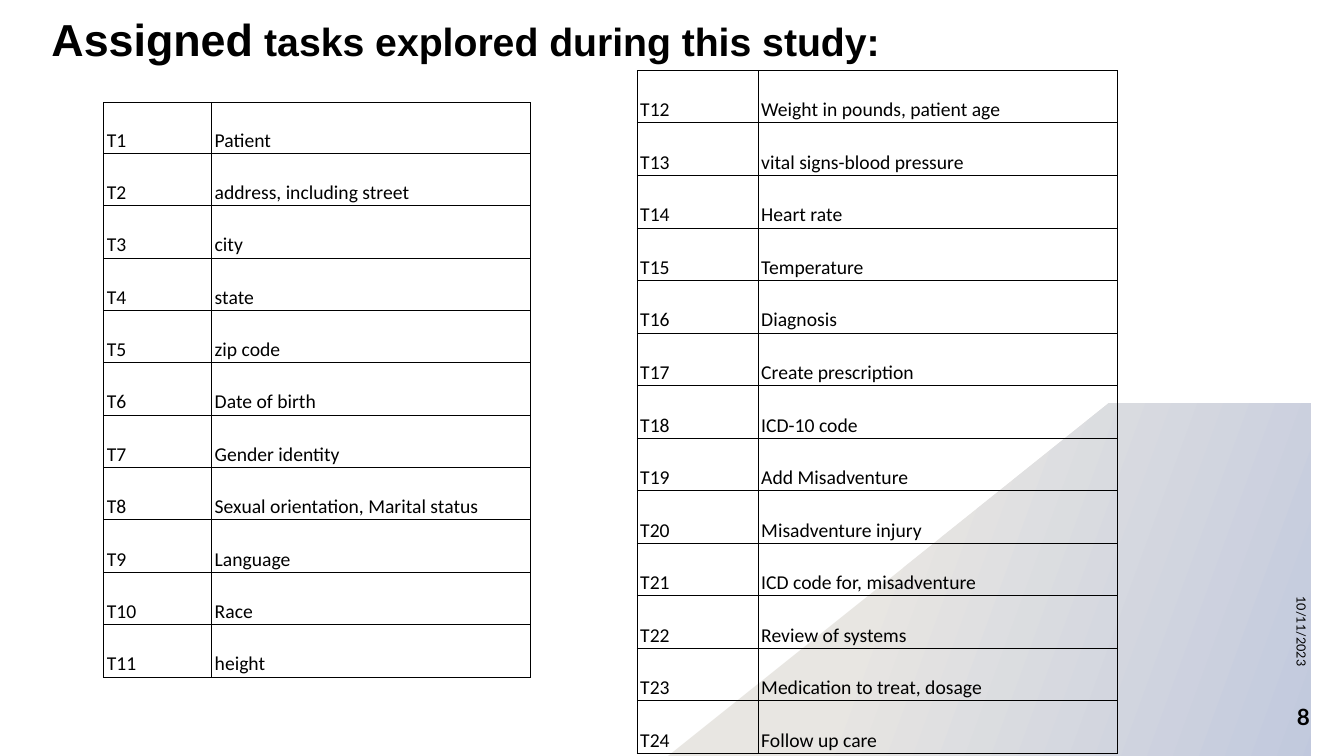
from dataclasses import dataclass

from lxml.etree import SubElement
from pptx import Presentation
from pptx.dml.color import RGBColor
from pptx.enum.text import MSO_ANCHOR as Anchor, PP_ALIGN as Align
from pptx.oxml.ns import qn
from pptx.slide import Slide
from pptx.table import _Cell as Cell
from pptx.util import Inches, Pt


@dataclass(frozen=True)
class Theme:
    ink: str = "000000"
    sand: str = "E8E6E2"
    mist: str = "C0C8DD"
    title_font: str = "Arial"
    table_font: str = "Calibri"
    footer_font: str = "Lato"
    title_lead_size: int = 32
    title_size: int = 28
    table_size: int = 14
    border_width: float = 0.75


@dataclass(frozen=True)
class TaskTable:
    left: float
    top: float
    columns: tuple[float, float]
    first_row: float
    row_height: float
    first_number: int
    tasks: tuple[str, ...]


@dataclass(frozen=True)
class FooterText:
    text: str
    left: float
    top: float
    width: float
    height: float
    size: int
    bold: bool = False
    rotation: int = 0


THEME = Theme()
Point = tuple[float, float]

TABLES = (
    TaskTable(1.03, 1.02, (1.07, 3.16), 0.5, 0.52, 1, (
        "Patient", "address, including street", "city", "state", "zip code",
        "Date of birth", "Gender identity", "Sexual orientation, Marital status",
        "Language", "Race", "height")),
    TaskTable(6.32, 0.7, (1.2, 3.56), 0.52, 0.5215, 12, (
        "Weight in pounds, patient age", "vital signs-blood pressure", "Heart rate",
        "Temperature", "Diagnosis", "Create prescription", "ICD-10 code",
        "Add Misadventure", "Misadventure injury", "ICD code for, misadventure",
        "Review of systems", "Medication to treat, dosage", "Follow up care")),
)

FOOTERS = (
    FooterText("10/11/2023", 11.46, 5.06, 2.9, 0.4, 9, rotation=90),
    FooterText("8", 12.42, 6.91, 0.67, 0.4, 16, bold=True),
)


def style_font(font, name: str, size: int, bold: bool = False) -> None:
    font.name, font.size, font.bold = name, Pt(size), bold
    font.color.rgb = RGBColor.from_string(THEME.ink)


def curve(start: Point, control_1: Point, control_2: Point, end: Point,
          steps: int = 24) -> list[Point]:
    """Points along a cubic Bezier curve, without its start."""
    points = []
    for step in range(1, steps + 1):
        t = step / steps
        weights = ((1 - t) ** 3, 3 * t * (1 - t) ** 2, 3 * t * t * (1 - t), t ** 3)
        corners = (start, control_1, control_2, end)
        points.append((sum(w * c[0] for w, c in zip(weights, corners)),
                       sum(w * c[1] for w, c in zip(weights, corners))))
    return points


def add_hill(slide: Slide) -> None:
    crest = (11.99, 3.7)
    outline = [
        *curve(crest, (12.47, 3.7), (12.94, 3.86), (13.33, 4.17)),
        (13.33, 7.5), (6.34, 7.5), (10.62, 4.14), (10.67, 4.1),
        *curve((10.67, 4.1), (11.03, 3.85), (11.45, 3.71), (11.86, 3.7)),
        crest,
    ]
    builder = slide.shapes.build_freeform(*crest, scale=Inches(1))
    builder.add_line_segments(outline, close=True)
    hill = builder.convert_to_shape()
    hill.shadow.inherit = False
    hill.line.fill.background()
    hill.fill.gradient()
    hill.fill.gradient_angle = 340
    stops = ((0.39, THEME.sand), (1.0, THEME.mist))
    for stop, (position, color) in zip(hill.fill.gradient_stops, stops):
        stop.position = position
        stop.color.rgb = RGBColor.from_string(color)


def add_title(slide: Slide) -> None:
    title = slide.shapes.title
    title.left, title.top = Inches(0.41), Inches(0)
    title.width, title.height = Inches(10.34), Inches(0.7)
    title.text_frame.vertical_anchor = Anchor.BOTTOM
    paragraph = title.text_frame.paragraphs[0]
    paragraph.alignment = Align.LEFT
    for text, size in (("Assigned", THEME.title_lead_size),
                       (" tasks explored during this study:", THEME.title_size)):
        run = paragraph.add_run()
        run.text = text
        style_font(run.font, THEME.title_font, size, bold=True)


def add_borders(cell: Cell) -> None:
    properties = cell._tc.get_or_add_tcPr()
    for side in ("lnL", "lnR", "lnT", "lnB"):
        line = SubElement(properties, qn(f"a:{side}"), w=str(Pt(THEME.border_width)))
        fill = SubElement(line, qn("a:solidFill"))
        SubElement(fill, qn("a:srgbClr"), val=THEME.ink)


def fill_cell(cell: Cell, text: str) -> None:
    add_borders(cell)
    cell.fill.background()
    cell.margin_left = cell.margin_right = Inches(0.03)
    cell.margin_top = cell.margin_bottom = Inches(0.01)
    cell.vertical_anchor = Anchor.BOTTOM
    cell.text = text
    style_font(cell.text_frame.paragraphs[0].font, THEME.table_font, THEME.table_size)


def add_task_table(slide: Slide, item: TaskTable) -> None:
    count = len(item.tasks)
    height = item.first_row + (count - 1) * item.row_height
    table = slide.shapes.add_table(
        count, 2, Inches(item.left), Inches(item.top),
        Inches(sum(item.columns)), Inches(height)).table
    table.first_row = table.horz_banding = False
    for column, width in zip(table.columns, item.columns):
        column.width = Inches(width)
    for index, task in enumerate(item.tasks):
        table.rows[index].height = Inches(item.row_height if index else item.first_row)
        fill_cell(table.cell(index, 0), f"T{item.first_number + index}")
        fill_cell(table.cell(index, 1), task)


def add_footer(slide: Slide, item: FooterText) -> None:
    box = slide.shapes.add_textbox(Inches(item.left), Inches(item.top),
                                   Inches(item.width), Inches(item.height))
    box.rotation = item.rotation
    frame = box.text_frame
    frame.word_wrap = True
    frame.vertical_anchor = Anchor.MIDDLE
    paragraph = frame.paragraphs[0]
    paragraph.text = item.text
    paragraph.alignment = Align.RIGHT
    paragraph.space_after = Pt(6)
    style_font(paragraph.font, THEME.footer_font, item.size, item.bold)


def main() -> None:
    presentation = Presentation()
    presentation.slide_width, presentation.slide_height = Inches(13.33), Inches(7.5)
    slide = presentation.slides.add_slide(presentation.slide_layouts[5])

    # Background shape, footer texts and title
    add_hill(slide)
    for footer in FOOTERS:
        add_footer(slide, footer)
    add_title(slide)

    # Task lists
    for task_table in TABLES:
        add_task_table(slide, task_table)

    presentation.save("out.pptx")


if __name__ == "__main__":
    main()
